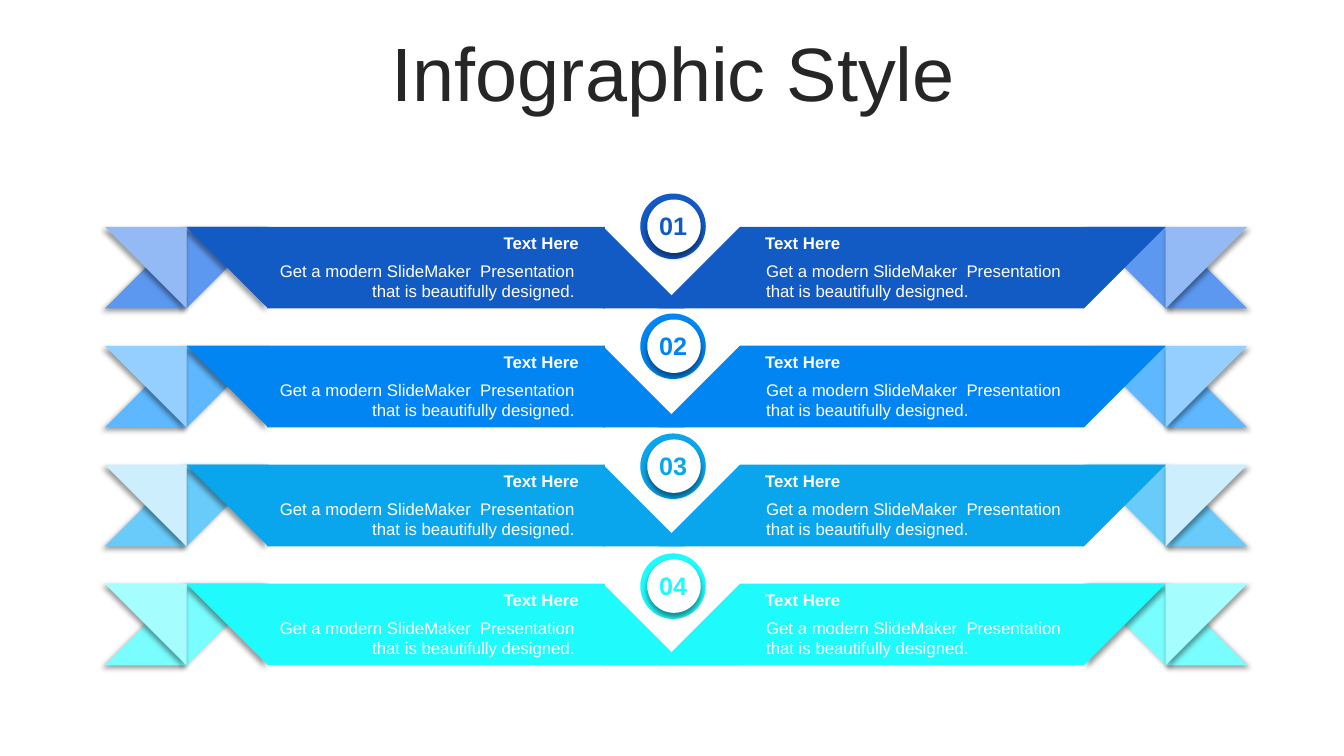
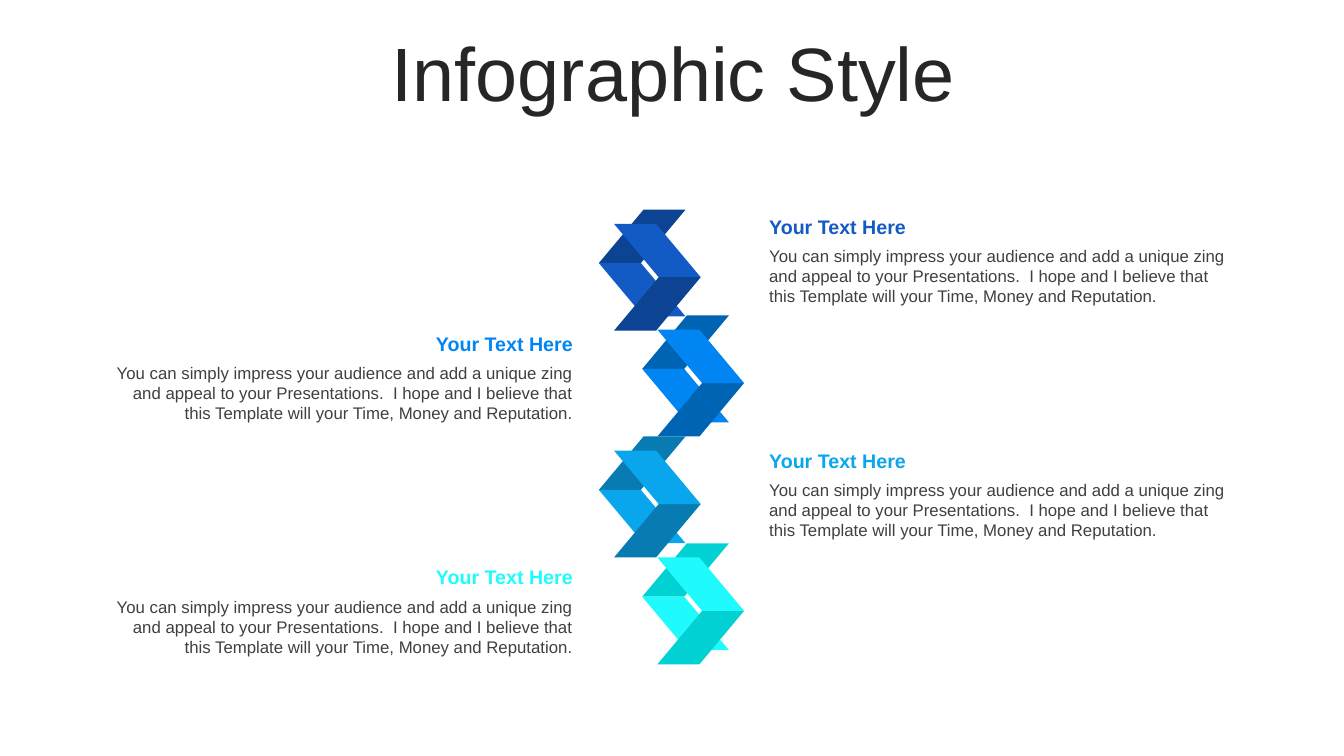
import pptx
import pptx.dml.color
import pptx.enum.shapes
import pptx.enum.text
import pptx.oxml.ns
import pptx.util
from lxml import etree

Inches, Pt = pptx.util.Inches, pptx.util.Pt
SHAPE = pptx.enum.shapes.MSO_SHAPE
ALIGN = pptx.enum.text.PP_ALIGN
qn = pptx.oxml.ns.qn

COLORS = {
    "title": "262626", "body": "404040", "white": "FFFFFF", "black": "000000",
    "navy": "125AC4", "navy_dark": "0D4393", "navy_mid": "5C98F0", "navy_pale": "93BAF5",
    "blue": "0085F2", "blue_dark": "0064B5", "blue_mid": "5EB7FF", "blue_pale": "94CFFF",
    "sky": "0AA6ED", "sky_dark": "087CB2", "sky_mid": "68CBF9", "sky_pale": "CDEEFD",
    "cyan": "1FFBFD", "cyan_dark": "02D1D3", "cyan_mid": "79FDFE", "cyan_pale": "A5FDFE",
}
HUES = ["navy", "blue", "sky", "cyan"]
FONTS = {
    "title": {"size": Pt(54)},
    "number": {"size": Pt(18), "bold": True},
    "heading": {"size": Pt(14), "bold": True},
    "label": {"size": Pt(12), "bold": True},
    "body": {"size": Pt(12)},
}

TITLE = "Infographic Style"
RIBBON_LABEL = "Text Here"
RIBBON_TEXT = "Get a modern SlideMaker  Presentation that is beautifully designed."
STEP_HEADING = "Your Text Here"
STEP_TEXT = ("You can simply impress your audience and add a unique zing and appeal to your "
             "Presentations.  I hope and I believe that this Template will your Time, "
             "Money and Reputation.")

# Ribbon half: (left of inner fold, outer fold, bar, notch), bar width, flipped, shadow angle
FOLD = 0.81
RIBBON_HALVES = [
    ((1.85, 1.04, 2.65, 5.98), 3.35, False, 135),
    ((10.75, 11.56, 7.34, 6.53), 3.41, True, 45),
]
RIBBON_TOP, RIBBON_PITCH = 2.25, 1.18
BADGE_TOP, BADGE_PITCH = 1.92, 1.19
# Ribbon text: left and width of the body, left and width of the label, alignment
RIBBON_TEXTS = [
    (7.50, 3.35, 7.49, 3.40, ALIGN.LEFT),
    (2.61, 3.19, 2.60, 3.24, ALIGN.RIGHT),
]

CHEVRONS = [(5.94, 2.08), (6.37, 3.13), (5.94, 4.33), (6.37, 5.39)]
# Chevron part: offset from the chevron corner, rotation, flipped, shade
CHEVRON_PARTS = [
    (0, 0, 0, False, "_dark"),
    (0, 0.53, 0, True, ""),
    (0.15, 0.67, 180, False, "_dark"),
    (0.15, 0.14, 180, True, ""),
]
STEP_TOP, STEP_PITCH = 2.08, 1.16
STEP_SIDES = [(7.53, 4.82, ALIGN.LEFT), (0.99, 4.79, ALIGN.RIGHT)]


def rgb(name):
    return pptx.dml.color.RGBColor.from_string(COLORS[name])


def add_shadow(sp, angle, opacity):
    effects = sp._element.spPr.find(qn("a:effectLst"))
    shadow = etree.SubElement(effects, qn("a:outerShdw"), blurRad=str(Pt(4)), dist=str(Pt(3)),
                              dir=str(angle * 60000), algn="ctr", rotWithShape="0")
    color = etree.SubElement(shadow, qn("a:srgbClr"), val=COLORS["black"])
    etree.SubElement(color, qn("a:alpha"), val=str(opacity * 1000))


def add_solid(shapes, kind, box, color, rotation=0, flip=False, shadow=None):
    """Add an unlined shape; shadow is (angle, opacity)."""
    sp = shapes.add_shape(kind, *map(Inches, box))
    sp.shadow.inherit = False
    sp.fill.solid()
    sp.fill.fore_color.rgb = rgb(color)
    sp.line.fill.background()
    sp.rotation = rotation
    if flip:
        sp._element.spPr.find(qn("a:xfrm")).set("flipH", "1")
    if shadow:
        add_shadow(sp, *shadow)
    return sp


def add_text(s, box, text, style, color, align=ALIGN.LEFT):
    sp = s.shapes.add_textbox(*map(Inches, box))
    tf = sp.text_frame
    tf.word_wrap = True
    p = tf.paragraphs[0]
    p.alignment = align
    r = p.add_run()
    r.text = text
    for name, value in {"name": "Arial", **FONTS[style]}.items():
        setattr(r.font, name, value)
    r.font.color.rgb = rgb(color)
    return sp


def add_titled_slide(prs):
    s = prs.slides.add_slide(prs.slide_layouts[6])
    tf = add_text(s, (0.35, 0.37, 12.66, 0.79), TITLE, "title", "title", ALIGN.CENTER).text_frame
    tf.vertical_anchor = pptx.enum.text.MSO_ANCHOR.MIDDLE
    tf.paragraphs[0].line_spacing = 0.9
    return s


def add_ribbon(s, top, hue):
    shapes = s.shapes.add_group_shape().shapes
    for (inner, outer, bar, notch), bar_width, flip, angle in RIBBON_HALVES:
        shadow = (angle, 40)
        front_shadow = shadow if not flip or hue == "cyan" else None
        turn = 270 if flip else 90
        for left, rotation, color, shade in [
            (inner, turn, hue + "_mid", shadow),
            (inner, 180, hue, front_shadow),
            (outer, 360 - turn, hue + "_mid", shadow),
            (outer, 180, hue + "_pale", shadow),
            (notch, 0, hue, None),
        ]:
            add_solid(shapes, SHAPE.RIGHT_TRIANGLE, (left, top, FOLD, FOLD),
                      color, rotation, flip, shade)
        add_solid(shapes, SHAPE.RECTANGLE, (bar, top, bar_width, FOLD), hue)


def add_badge(s, top, number, hue):
    add_solid(s.shapes, SHAPE.OVAL, (6.35, top, 0.65, 0.65), hue)
    add_solid(s.shapes, SHAPE.OVAL, (6.42, top + 0.06, 0.53, 0.53), "white", shadow=(90, 43))
    add_text(s, (6.42, top + 0.12, 0.51, 0.4), f"{number:02}", "number", hue, ALIGN.CENTER)


def add_ribbon_slide(prs):
    s = add_titled_slide(prs)
    for i, hue in enumerate(HUES):
        add_ribbon(s, RIBBON_TOP + i * RIBBON_PITCH, hue)
    for i, hue in enumerate(HUES):
        add_badge(s, BADGE_TOP + i * BADGE_PITCH, i + 1, hue)
        top = RIBBON_TOP + i * RIBBON_PITCH
        for left, width, label_left, label_width, align in RIBBON_TEXTS:
            add_text(s, (left, top + 0.29, width, 0.5), RIBBON_TEXT, "body", "white", align)
            add_text(s, (label_left, top + 0.01, label_width, 0.3), RIBBON_LABEL,
                     "label", "white", align)


def add_chevron_slide(prs):
    s = add_titled_slide(prs)
    shapes = s.shapes.add_group_shape().shapes
    for hue, (left, top) in zip(HUES, CHEVRONS):
        for dx, dy, rotation, flip, shade in CHEVRON_PARTS:
            sp = add_solid(shapes, SHAPE.PARALLELOGRAM, (left + dx, top + dy, 0.86, 0.53),
                           hue + shade, rotation, flip)
            sp.adjustments[0] = 0.836
    for i, hue in enumerate(HUES):
        left, width, align = STEP_SIDES[i % 2]
        top = STEP_TOP + i * STEP_PITCH
        add_text(s, (left, top + 0.31, width, 0.71), STEP_TEXT, "body", "body", align)
        add_text(s, (left, top, width, 0.34), STEP_HEADING, "heading", hue, align)


def main():
    prs = pptx.Presentation()
    prs.slide_width, prs.slide_height = Inches(13.33), Inches(7.5)
    add_ribbon_slide(prs)
    add_chevron_slide(prs)
    prs.save("out.pptx")


if __name__ == "__main__":
    main()
